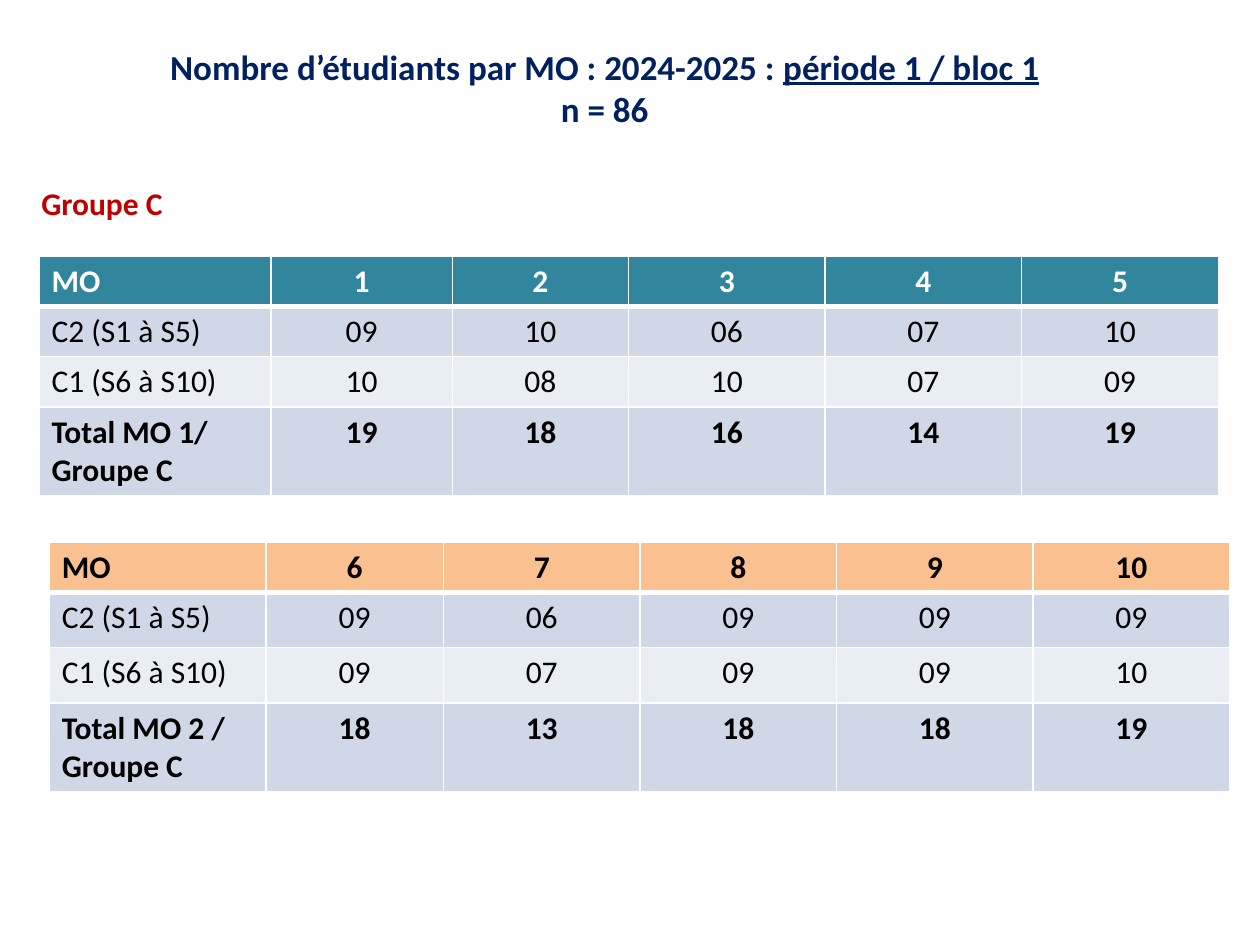
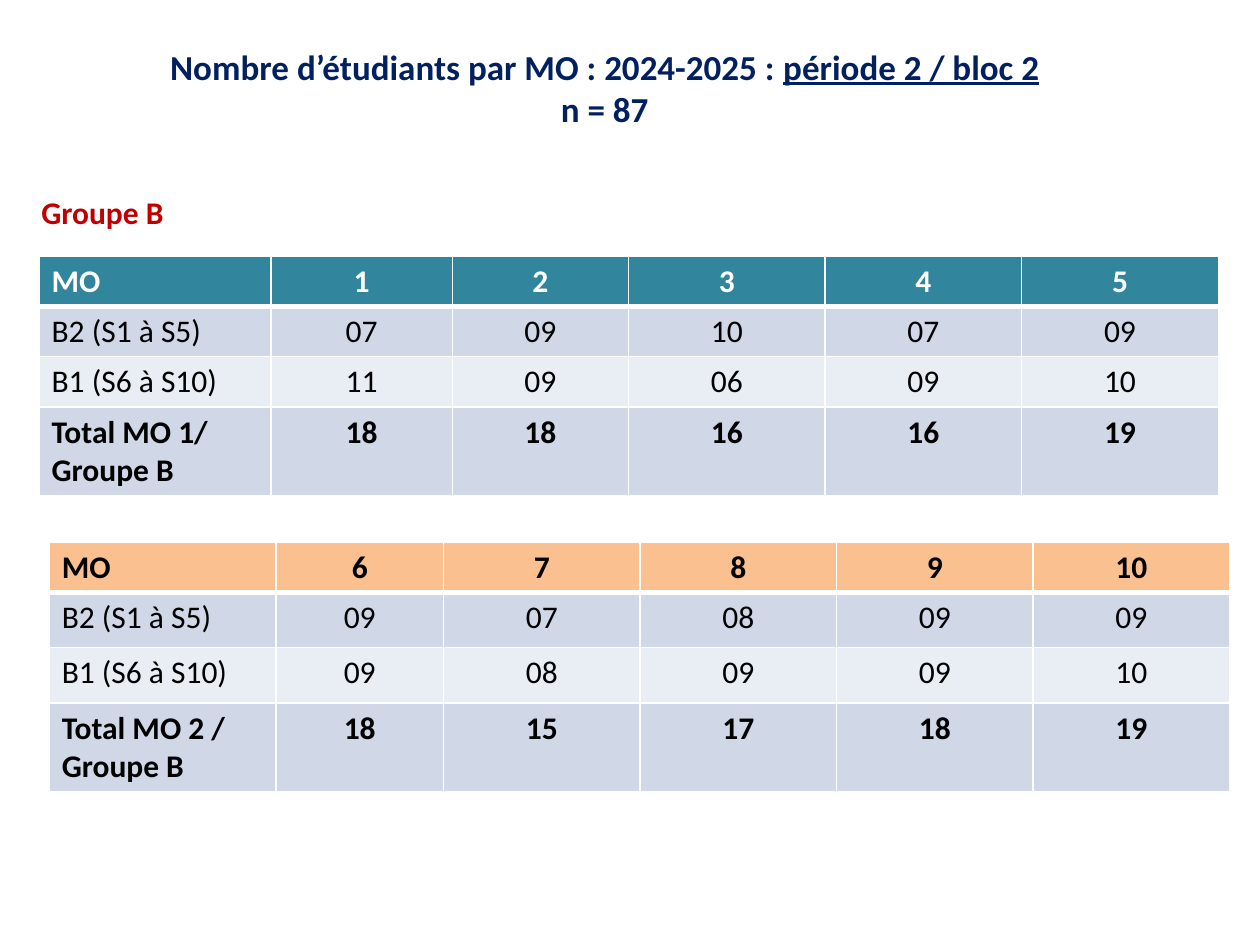
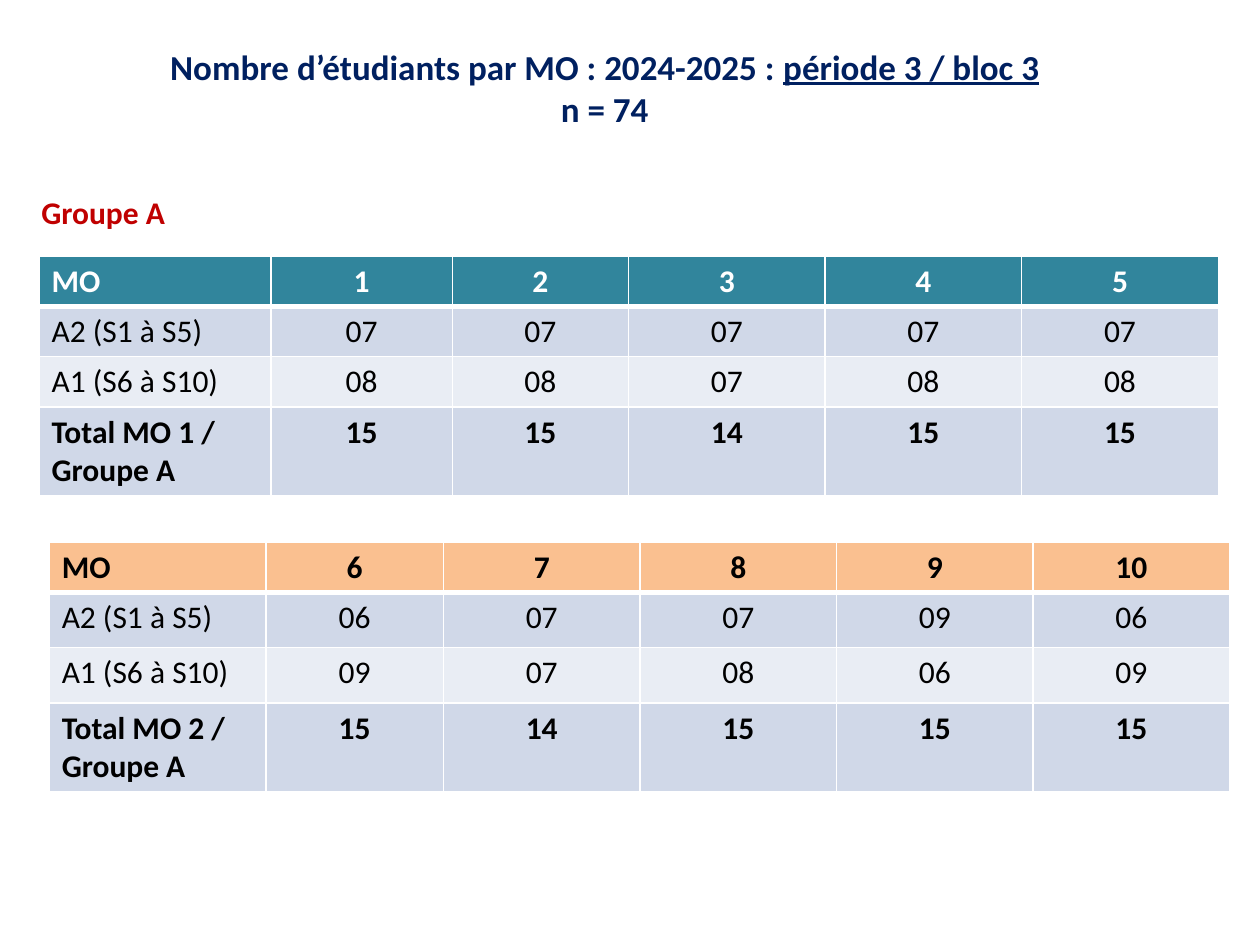
import dataclasses

import lxml.etree
import pptx
import pptx.dml.color
import pptx.enum.text
import pptx.oxml.ns
import pptx.util

Inches = pptx.util.Inches
Pt = pptx.util.Pt
RGB = pptx.dml.color.RGBColor.from_string
ALIGN = pptx.enum.text.PP_ALIGN
qn = pptx.oxml.ns.qn


@dataclasses.dataclass(frozen=True)
class Theme:
    font: str = "Calibri"
    title_size: int = 20
    body_size: int = 18
    navy: str = "002060"
    red: str = "C00000"
    black: str = "000000"
    white: str = "FFFFFF"
    teal: str = "31859C"
    orange: str = "FAC090"
    band_dark: str = "D0D8E8"
    band_light: str = "E9EDF4"
    thin: int = 1
    thick: int = 3


THEME = Theme()


def add_run(p, text, size=THEME.body_size, color=THEME.black, bold=False, underline=False, align=ALIGN.LEFT):
    p.alignment = align
    r = p.add_run()
    r.text = text
    r.font.name = THEME.font
    r.font.size = Pt(size)
    r.font.color.rgb = RGB(color)
    r.font.bold = bold
    r.font.underline = underline


class Deck:
    def __init__(self, theme):
        self.theme = theme
        self.prs = pptx.Presentation()
        self.prs.slide_width = Inches(10)
        self.prs.slide_height = Inches(7.5)
        self.s = None

    def new_slide(self):
        self.s = self.prs.slides.add_slide(self.prs.slide_layouts[6])

    def text_box(self, left, top, width, height):
        sp = self.s.shapes.add_textbox(Inches(left), Inches(top), Inches(width), Inches(height))
        tf = sp.text_frame
        tf.word_wrap = True
        tf.auto_size = pptx.enum.text.MSO_AUTO_SIZE.SHAPE_TO_FIT_TEXT
        return tf

    def title(self, period, count):
        tf = self.text_box(0.62, 0.31, 8.36, 0.77)
        fmt = dict(size=self.theme.title_size, color=self.theme.navy, bold=True, align=ALIGN.CENTER)
        p = tf.paragraphs[0]
        add_run(p, "Nombre d’étudiants par MO : 2024-2025 : ", **fmt)
        add_run(p, f"période {period} / bloc {period}", underline=True, **fmt)
        add_run(tf.add_paragraph(), f"n = {count}", **fmt)

    def group_label(self, group, top):
        tf = self.text_box(0.23, top, 2.66, 0.4)
        add_run(tf.paragraphs[0], f"Groupe {group}", color=self.theme.red, bold=True)

    def borders(self, cell, top, bottom):
        tc_pr = cell._tc.get_or_add_tcPr()
        widths = dict(lnL=self.theme.thin, lnR=self.theme.thin, lnT=top, lnB=bottom)
        for i, (side, width) in enumerate(widths.items()):
            ln = lxml.etree.Element(qn(f"a:{side}"), w=str(Pt(width)))
            fill = lxml.etree.SubElement(ln, qn("a:solidFill"))
            lxml.etree.SubElement(fill, qn("a:srgbClr"), val=self.theme.white)
            tc_pr.insert(i, ln)

    def table(self, left, top, widths, heights, rows, header_fill, header_color):
        t = self.theme
        frame = self.s.shapes.add_table(len(rows), len(widths), Inches(left), Inches(top),
                                        Inches(sum(widths)), Inches(sum(heights)))
        table = frame.table
        for column, width in zip(table.columns, widths):
            column.width = Inches(width)
        for row, height in zip(table.rows, heights):
            row.height = Inches(height)
        fills = [header_fill, t.band_dark, t.band_light, t.band_dark]
        for i, row in enumerate(rows):
            for j, text in enumerate(row):
                cell = table.cell(i, j)
                cell.fill.solid()
                cell.fill.fore_color.rgb = RGB(fills[i])
                self.borders(cell, top=t.thick if i == 1 else t.thin,
                             bottom=t.thick if i == 0 else t.thin)
                add_run(cell.text_frame.paragraphs[0], text,
                        color=header_color if i == 0 else t.black,
                        bold=i in (0, len(rows) - 1),
                        align=ALIGN.CENTER if j else ALIGN.LEFT)


def count_rows(group, first_mo, total_label, second_half, first_half):
    totals = [a + b for a, b in zip(second_half, first_half)]
    return [
        ["MO"] + [str(first_mo + i) for i in range(len(totals))],
        [f"{group}2 (S1 à S5)"] + [f"{n:02}" for n in second_half],
        [f"{group}1 (S6 à S10)"] + [f"{n:02}" for n in first_half],
        [f"{total_label} Groupe {group}"] + [f"{n:02}" for n in totals],
    ]


PERIODS = [
    dict(group="C", count=86, label_top=1.41, total_label="Total MO 1/", lower_widths=[1.72, 1.41],
         upper=([9, 10, 6, 7, 10], [10, 8, 10, 7, 9]),
         lower=([9, 6, 9, 9, 9], [9, 7, 9, 9, 10])),
    dict(group="B", count=87, label_top=1.48, total_label="Total MO 1/", lower_widths=[1.8, 1.33],
         upper=([7, 9, 10, 7, 9], [11, 9, 6, 9, 10]),
         lower=([9, 7, 8, 9, 9], [9, 8, 9, 9, 10])),
    dict(group="A", count=74, label_top=1.48, total_label="Total MO 1 /", lower_widths=[1.72, 1.41],
         upper=([7, 7, 7, 7, 7], [8, 8, 7, 8, 8]),
         lower=([6, 7, 7, 9, 6], [9, 7, 8, 6, 9])),
]


def main():
    deck = Deck(THEME)
    for number, period in enumerate(PERIODS, 1):
        group = period["group"]
        deck.new_slide()
        deck.title(number, period["count"])
        deck.table(0.31, 2.03, [1.84, 1.44, 1.4] + [1.56] * 3, [0.4, 0.4, 0.4, 0.7],
                   count_rows(group, 1, period["total_label"], *period["upper"]),
                   THEME.teal, THEME.white)
        deck.table(0.39, 4.3, period["lower_widths"] + [1.56] * 4, [0.4, 0.44, 0.44, 0.7],
                   count_rows(group, 6, "Total MO 2 /", *period["lower"]),
                   THEME.orange, THEME.black)
        deck.group_label(group, period["label_top"])
    deck.prs.save("out.pptx")


if __name__ == "__main__":
    main()
